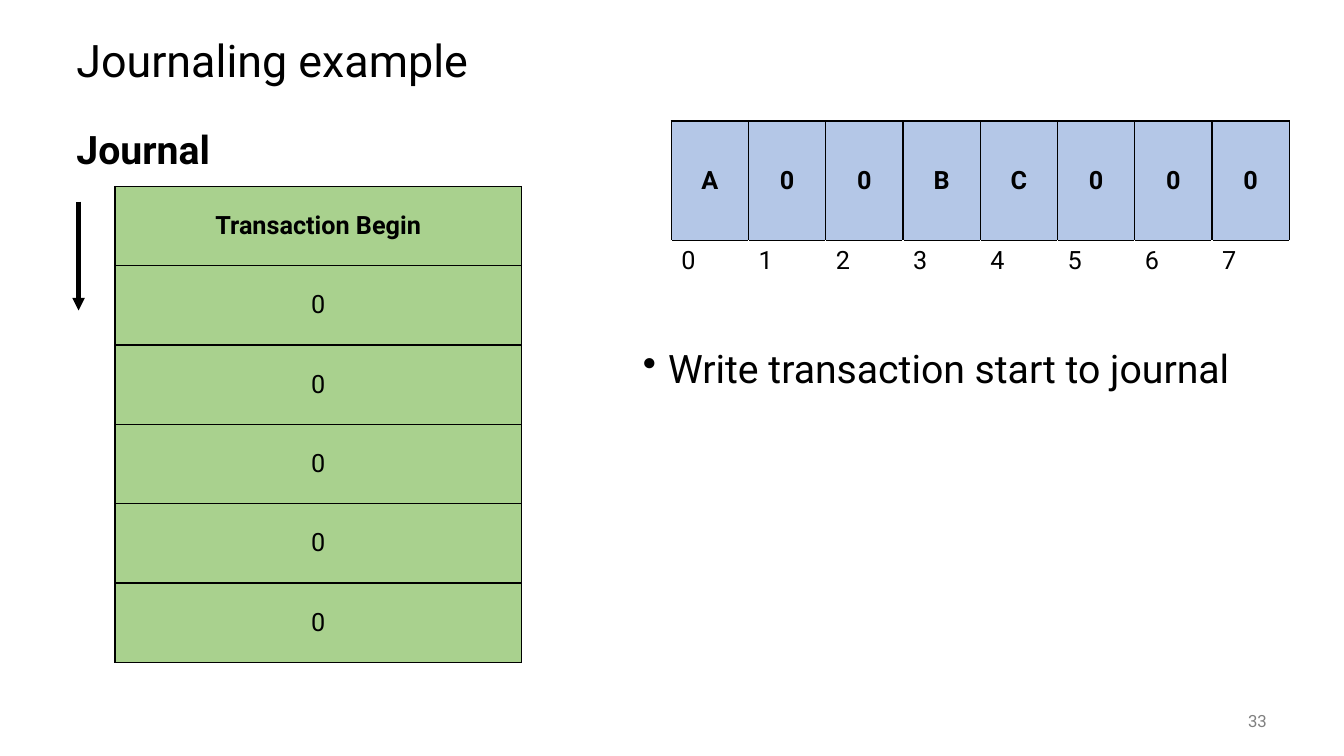
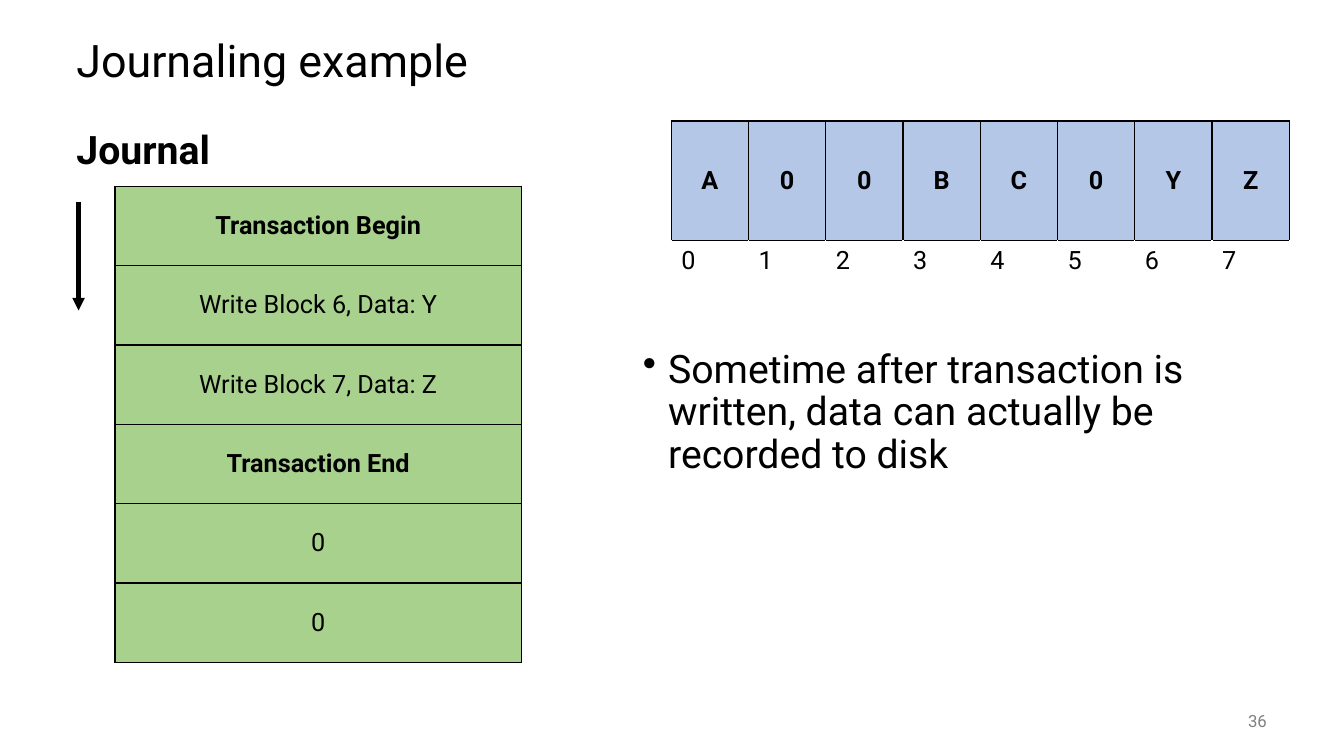
"""Build the journaling example slides on a grid of 100 columns by 75 rows."""
from dataclasses import dataclass

from lxml import etree
from pptx import Presentation
from pptx.dml.color import RGBColor
from pptx.enum.shapes import MSO_CONNECTOR
from pptx.enum.text import MSO_ANCHOR, PP_ALIGN
from pptx.oxml.ns import qn
from pptx.util import Inches, Pt

LEFT, CENTER, RIGHT = PP_ALIGN.LEFT, PP_ALIGN.CENTER, PP_ALIGN.RIGHT
TOP, MIDDLE = MSO_ANCHOR.TOP, MSO_ANCHOR.MIDDLE
STRAIGHT = MSO_CONNECTOR.STRAIGHT
SLIDE_WIDTH, SLIDE_HEIGHT = Inches(13.33), Inches(7.5)
COLUMNS, ROWS = 100, 75
BLANK_LAYOUT = 6


@dataclass(frozen=True)
class Theme:
    """Colours, font and type sizes shared by the slides."""
    font: str = "Roboto"
    ink: str = "000000"
    paper: str = "FFFFFF"
    muted: str = "808080"
    disk: str = "B4C7E7"
    journal: str = "A9D18E"
    title_size: int = 32
    body_size: int = 28
    cell_size: int = 18
    footer_size: int = 12
    border: int = 1
    arrow: int = 3


THEME = Theme()


def across(columns):
    """Return the width of a number of grid columns."""
    return round(SLIDE_WIDTH * columns / COLUMNS)


def down(rows):
    """Return the height of a number of grid rows."""
    return round(SLIDE_HEIGHT * rows / ROWS)


def place(left, top, width, height):
    """Turn a grid area into slide lengths."""
    return across(left), down(top), across(width), down(height)


def style(paragraph, size, color=THEME.ink, bold=False, align=LEFT):
    """Set the font and alignment of a paragraph."""
    paragraph.alignment = align
    font = paragraph.font
    font.name, font.size, font.bold = THEME.font, Pt(size), bold
    font.color.rgb = RGBColor.from_string(color)


def add_bullet(paragraph):
    """Give a paragraph a hanging bullet."""
    properties = paragraph._p.get_or_add_pPr()
    properties.set("marL", str(Inches(0.25)))
    properties.set("indent", str(-Inches(0.25)))
    etree.SubElement(properties, qn("a:buChar"), char="•")


def add_text(slide, area, text, size, anchor=TOP, spacing=0.9, bullet=False, **look):
    """Add a wrapped single-paragraph text box."""
    frame = slide.shapes.add_textbox(*place(*area)).text_frame
    frame.word_wrap = True
    frame.vertical_anchor = anchor
    paragraph = frame.paragraphs[0]
    paragraph.text = text
    if bullet:
        add_bullet(paragraph)
    paragraph.line_spacing = spacing
    style(paragraph, size, **look)


def add_borders(cell, side_color, top_color, bottom_color):
    """Draw the four borders of a table cell."""
    properties = cell._tc.get_or_add_tcPr()
    edges = {"lnL": side_color, "lnR": side_color, "lnT": top_color, "lnB": bottom_color}
    for edge, color in edges.items():
        line = etree.SubElement(properties, qn(f"a:{edge}"), w=str(Pt(THEME.border)))
        fill = etree.SubElement(line, qn("a:solidFill"))
        etree.SubElement(fill, qn("a:srgbClr"), val=color)


def add_grid(slide, left, top, column_width, row_heights, column_count):
    """Add an unbanded table with equal columns."""
    area = place(left, top, column_width * column_count, sum(row_heights))
    grid = slide.shapes.add_table(len(row_heights), column_count, *area).table
    grid.first_row = grid.horz_banding = False
    for column in grid.columns:
        column.width = across(column_width)
    for row, height in zip(grid.rows, row_heights):
        row.height = down(height)
    return grid


def fill_block(cell, text, color, bold):
    """Write a centred value into a coloured, outlined cell."""
    cell.text = text
    cell.vertical_anchor = MIDDLE
    style(cell.text_frame.paragraphs[0], THEME.cell_size, bold=bold, align=CENTER)
    add_borders(cell, THEME.ink, THEME.ink, THEME.ink)
    cell.fill.solid()
    cell.fill.fore_color.rgb = RGBColor.from_string(color)


def fill_index(cell, number):
    """Write a block number into a cell open on three sides."""
    cell.text = str(number)
    style(cell.text_frame.paragraphs[0], THEME.cell_size)
    add_borders(cell, THEME.paper, THEME.ink, THEME.paper)
    cell.fill.background()


def add_disk(slide, blocks):
    """Add the row of disk blocks with their numbers below."""
    grid = add_grid(slide, 49.95, 12, 5.75, (11.9, 5.3), len(blocks))
    for number, block in enumerate(blocks):
        fill_block(grid.cell(0, number), block, THEME.disk, bold=True)
        fill_index(grid.cell(1, number), number)


def add_journal(slide, entries):
    """Add the journal column, with transaction markers in bold."""
    grid = add_grid(slide, 8.55, 18.5, 30.25, [7.87] * len(entries), 1)
    for position, entry in enumerate(entries):
        marker = entry.startswith("Transaction")
        fill_block(grid.cell(position, 0), entry, THEME.journal, bold=marker)


def add_down_arrow(slide, column, start, end):
    """Add a vertical arrow pointing down."""
    arrow = slide.shapes.add_connector(
        STRAIGHT, across(column), down(start), across(column), down(end))
    arrow.line.width = Pt(THEME.arrow)
    arrow.line.color.rgb = RGBColor.from_string(THEME.ink)
    etree.SubElement(arrow.line._get_or_add_ln(), qn("a:tailEnd"), type="triangle")
    etree.SubElement(arrow._element.spPr, qn("a:effectLst"))


def add_journaling_slide(deck, page, note, blocks, entries):
    """Add one step of the journaling example."""
    slide = deck.slides.add_slide(deck.slide_layouts[BLANK_LAYOUT])
    add_text(slide, (4.95, 2.5, 90, 7.5), "Journaling example", THEME.title_size, MIDDLE)
    add_text(slide, (4.95, 12.5, 43.15, 55), "Journal", THEME.body_size, bold=True)
    add_text(slide, (87.5, 69.5, 7.5, 4), page, THEME.footer_size, MIDDLE,
             spacing=1.0, color=THEME.muted, align=RIGHT)
    add_text(slide, (47.1, 34.2, 47.9, 33.3), note, THEME.body_size, bullet=True)
    add_disk(slide, blocks)
    add_journal(slide, entries)
    add_down_arrow(slide, 5.85, 20, 30.8)


def main():
    """Build and save the deck."""
    deck = Presentation()
    deck.slide_width, deck.slide_height = SLIDE_WIDTH, SLIDE_HEIGHT
    add_journaling_slide(
        deck, "33", "Write transaction start to journal", "A00BC000",
        ["Transaction Begin", "0", "0", "0", "0", "0"])
    add_journaling_slide(
        deck, "36",
        "Sometime after transaction is written, data can actually be recorded to disk",
        "A00BC0YZ",
        ["Transaction Begin", "Write Block 6, Data: Y", "Write Block 7, Data: Z",
         "Transaction End", "0", "0"])
    deck.save("out.pptx")


if __name__ == "__main__":
    main()
